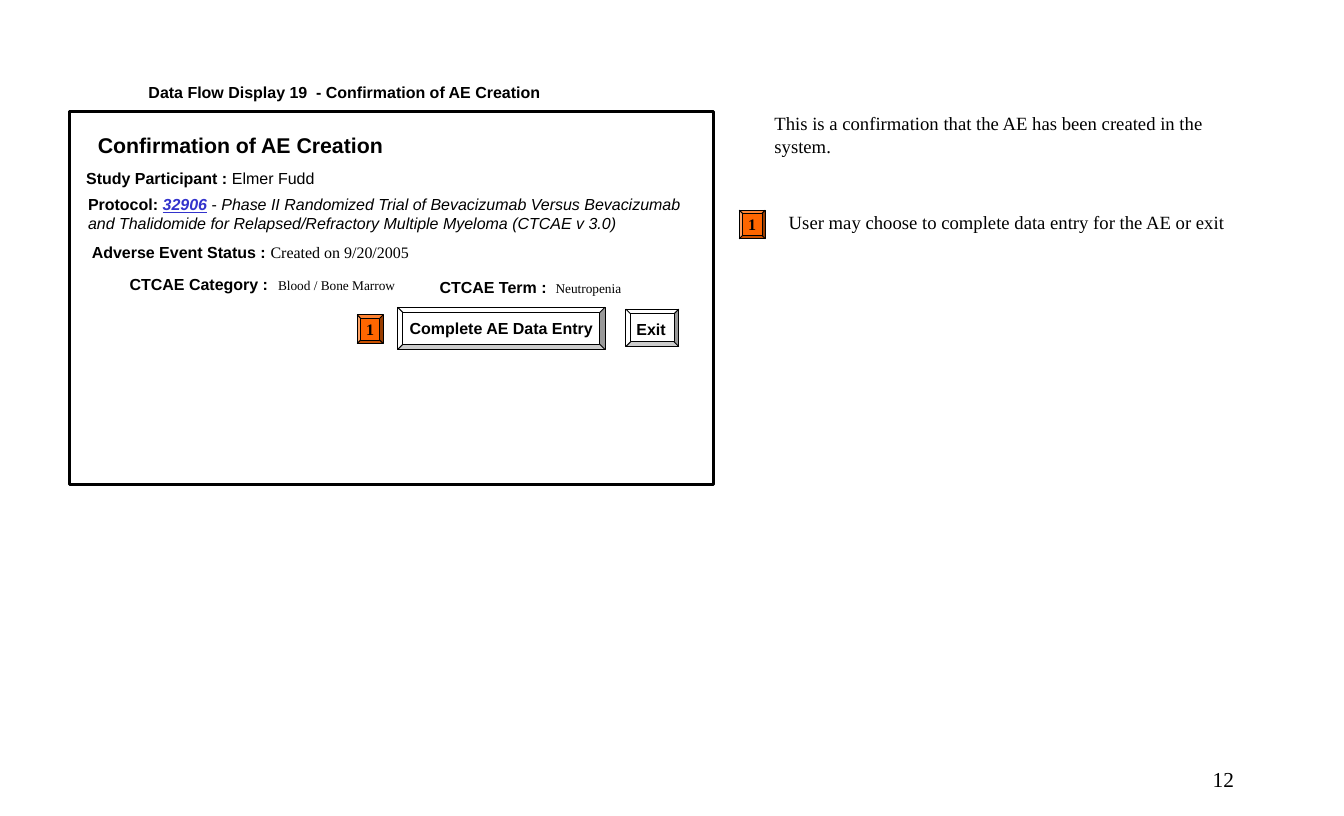
from dataclasses import dataclass
from typing import Optional

import pptx
import pptx.dml.color
import pptx.enum.shapes
import pptx.enum.text
import pptx.util

Cm = pptx.util.Cm
RGB = pptx.dml.color.RGBColor
Shape = pptx.enum.shapes.MSO_SHAPE
Align = pptx.enum.text.PP_ALIGN
Anchor = pptx.enum.text.MSO_ANCHOR


@dataclass(frozen=True)
class Theme:
    sans: str = "Arial"
    serif: str = "Times New Roman"
    ink: RGB = RGB(0, 0, 0)
    paper: RGB = RGB(255, 255, 255)
    link: RGB = RGB(0x33, 0x33, 0xCC)
    marker: RGB = RGB(0xFF, 0x66, 0)
    value: float = 10
    body: float = 12
    note: float = 14
    heading: float = 16
    thin: float = 0.75
    thick: float = 2.25


THEME = Theme()


@dataclass(frozen=True)
class Area:
    left: float
    top: float
    width: float
    height: float

    def lengths(self) -> tuple:
        return Cm(self.left), Cm(self.top), Cm(self.width), Cm(self.height)


@dataclass(frozen=True)
class Span:
    text: str
    font: str = THEME.sans
    size: float = THEME.body
    bold: bool = False
    italic: bool = False
    underline: bool = False
    color: RGB = THEME.ink


@dataclass(frozen=True)
class TextItem:
    area: Area
    spans: tuple
    align: Align = Align.LEFT
    fill: Optional[RGB] = None


@dataclass(frozen=True)
class Button:
    area: Area
    label_area: Area
    label: str


def label(text: str, **style) -> Span:
    return Span(text, bold=True, **style)


def serif(text: str, **style) -> Span:
    return Span(text, font=THEME.serif, **style)


def write_spans(para, spans: tuple) -> None:
    for span in spans:
        run = para.add_run()
        run.text = span.text
        font = run.font
        font.name, font.size = span.font, pptx.util.Pt(span.size)
        font.bold, font.italic, font.underline = span.bold, span.italic, span.underline
        font.color.rgb = span.color


def draw_text(shapes, item: TextItem) -> None:
    box = shapes.add_textbox(*item.area.lengths())
    box.text_frame.word_wrap = True
    if item.fill is not None:
        box.fill.solid()
        box.fill.fore_color.rgb = item.fill
    para = box.text_frame.paragraphs[0]
    para.alignment = item.align
    write_spans(para, item.spans)


def draw_outlined(shapes, preset: Shape, area: Area, fill: Optional[RGB], weight: float):
    shape = shapes.add_shape(preset, *area.lengths())
    shape.shadow.inherit = False
    if fill is None:
        shape.fill.background()
    else:
        shape.fill.solid()
        shape.fill.fore_color.rgb = fill
    shape.line.color.rgb = THEME.ink
    shape.line.width = pptx.util.Pt(weight)
    return shape


def draw_button(shapes, button: Button) -> None:
    group = shapes.add_group_shape().shapes
    draw_outlined(group, Shape.BEVEL, button.area, THEME.paper, THEME.thin)
    draw_text(group, TextItem(button.label_area, (label(button.label),)))


def draw_marker(shapes, left: float, top: float, number: str) -> None:
    """Draw a numbered orange key that ties a control to its note."""
    shape = draw_outlined(shapes, Shape.BEVEL, Area(left, top, 0.69, 0.76), THEME.marker, THEME.thin)
    frame = shape.text_frame
    frame.word_wrap = False
    frame.vertical_anchor = Anchor.MIDDLE
    frame.paragraphs[0].alignment = Align.CENTER
    write_spans(frame.paragraphs[0], (serif(number, bold=True),))


FRAME = Area(1.85, 2.95, 17.02, 9.88)

SCREEN_TEXTS = (
    TextItem(Area(3.68, 2.06, 12.4, 0.76),
             (label("Data Flow Display 19  - Confirmation of AE Creation"),)),
    TextItem(Area(2.34, 3.38, 11.56, 0.91),
             (label("Confirmation of AE Creation", size=THEME.heading),)),
    TextItem(Area(2.03, 4.34, 7.65, 0.76),
             (label("Study Participant : "), Span("Elmer Fudd"))),
    TextItem(Area(2.08, 5.03, 16.28, 1.27), (
        label("Protocol: "),
        label("32906", italic=True, underline=True, color=THEME.link),
        Span(" - "),
        Span("Phase II Randomized Trial of Bevacizumab Versus Bevacizumab and Thalidomide "
             "for Relapsed/Refractory Multiple Myeloma (CTCAE v 3.0)", italic=True))),
    TextItem(Area(2.18, 6.3, 9.02, 0.71),
             (label("Adverse Event Status : "), serif("Created on 9/20/2005"))),
    TextItem(Area(6.99, 7.21, 3.71, 0.69),
             (serif("Blood / Bone Marrow", size=THEME.value),), Align.RIGHT, THEME.paper),
    TextItem(Area(3.18, 7.14, 4.37, 0.81), (label("CTCAE Category :"),)),
    TextItem(Area(14.45, 7.29, 4.04, 0.69),
             (serif("Neutropenia", size=THEME.value),), fill=THEME.paper),
    TextItem(Area(11.38, 7.21, 3.66, 0.81), (label("CTCAE Term :"),)),
)

BUTTONS = (
    Button(Area(10.52, 8.13, 5.49, 1.12), Area(10.59, 8.31, 6.38, 0.81), "Complete AE Data Entry"),
    Button(Area(16.56, 8.18, 1.4, 0.99), Area(16.59, 8.33, 1.63, 0.71), "Exit"),
)

MARKERS = ((9.45, 8.33, "1"), (19.56, 5.56, "1"))

NOTES = (
    TextItem(Area(20.24, 2.84, 12.22, 1.45), (serif(
        "This is a confirmation that the AE has been created in the system.", size=THEME.note),)),
    TextItem(Area(20.62, 5.46, 12.04, 1.45), (serif(
        "User may choose to complete data entry for the AE or exit", size=THEME.note),)),
    TextItem(Area(25.48, 20.14, 7.42, 0.79), (serif("12", size=THEME.heading),), Align.RIGHT),
)


def main() -> None:
    deck = pptx.Presentation()
    deck.slide_width, deck.slide_height = Cm(35.56), Cm(21.59)
    page = deck.slides.add_slide(deck.slide_layouts[6])
    shapes = page.shapes
    draw_outlined(shapes, Shape.RECTANGLE, FRAME, None, THEME.thick)
    for item in SCREEN_TEXTS + NOTES:
        draw_text(shapes, item)
    for button in BUTTONS:
        draw_button(shapes, button)
    for left, top, number in MARKERS:
        draw_marker(shapes, left, top, number)
    deck.save("out.pptx")


if __name__ == "__main__":
    main()
